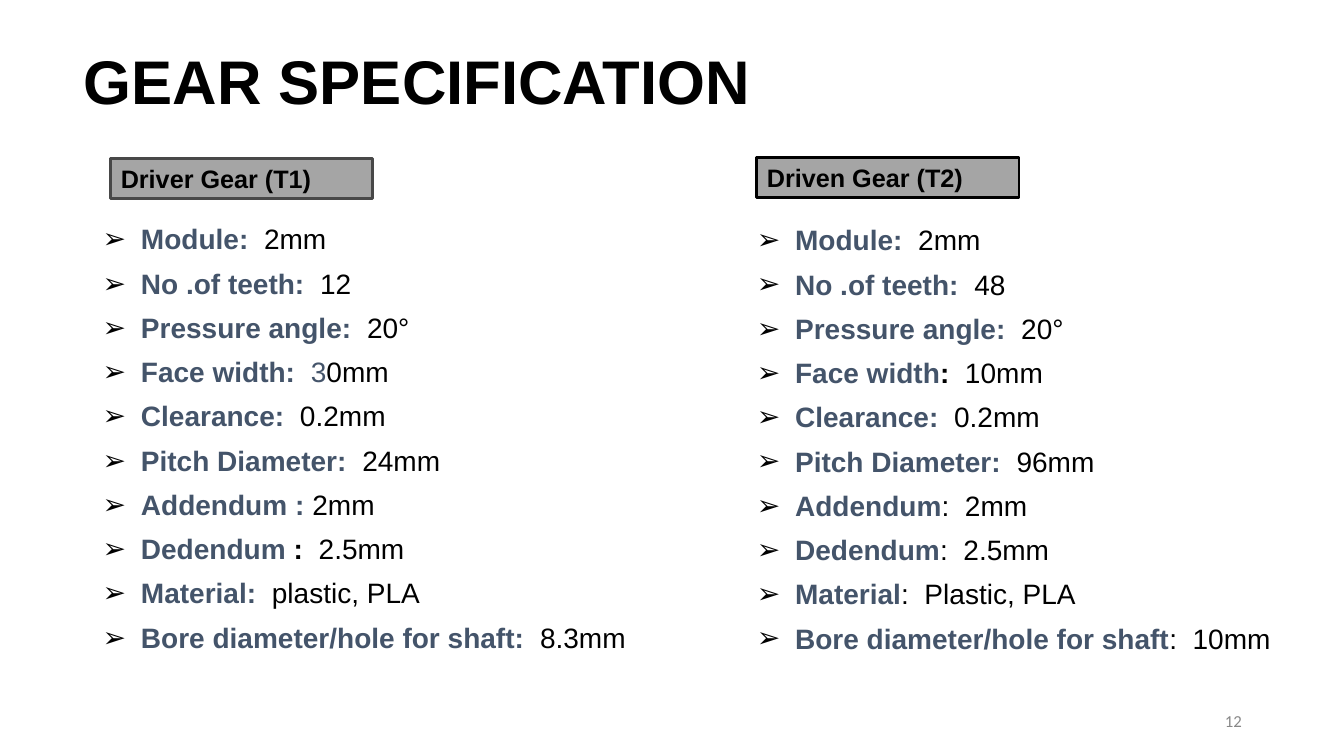
import pptx
import pptx.util
import pptx.dml.color
import pptx.enum.shapes
import pptx.enum.text
import lxml.etree

RGBColor = pptx.dml.color.RGBColor
INK = RGBColor(0x00, 0x00, 0x00)
SLATE = RGBColor(0x44, 0x54, 0x6A)
GREY = RGBColor(0xA5, 0xA5, 0xA5)
EDGE = RGBColor(0x48, 0x48, 0x48)
PALE = RGBColor(0x88, 0x88, 0x88)

STYLES = [(SLATE, True), (INK, True), (SLATE, False), (INK, False)]
DRIVER = [
    ("Module: ", "", "", " 2mm"),
    ("No .of teeth: ", "", "", " 12"),
    ("Pressure angle:", "", "", "  20°"),
    ("Face width:", "", "  3", "0mm"),
    ("Clearance: ", "", "", " 0.2mm"),
    ("Pitch Diameter: ", "", "", " 24mm"),
    ("Addendum : ", "", "", "2mm"),
    ("Dedendum", " :  ", "", "2.5mm"),
    ("Material:  ", "", "", "plastic, PLA"),
    ("Bore diameter/hole for shaft:", "", "", "  8.3mm"),
]
DRIVEN = [
    ("Module:", "", "", "  2mm"),
    ("No .of teeth:  ", "", "", "48"),
    ("Pressure angle: ", "", "", " 20°"),
    ("Face width", ":", "", "  10mm"),
    ("Clearance:", "", "", "  0.2mm"),
    ("Pitch Diameter:  ", "", "", "96mm"),
    ("Addendum", "", "", ":  2mm"),
    ("Dedendum", "", "", ":  2.5mm"),
    ("Material", "", "", ":  Plastic, PLA"),
    ("Bore diameter/hole for shaft", "", "", ":  10mm"),
]
GEARS = [
    ("Driver Gear (T1)", EDGE, (8.25, 20.93), (6.9, 29.2, 42.5), DRIVER),
    ("Driven Gear (T2)", INK, (56.32, 20.8), (55.57, 29.33, 44.4), DRIVEN),
]

deck = pptx.Presentation()
deck.slide_width = pptx.util.Inches(13.33)
deck.slide_height = pptx.util.Inches(7.5)
slide = deck.slides.add_slide(deck.slide_layouts[5])


def place(left, top, width, height):
    col, row = deck.slide_width / 100, deck.slide_height / 100
    return int(left * col), int(top * row), int(width * col), int(height * row)


def style(run, size, color, bold, face="Arial"):
    run.font.name = face
    run.font.size = pptx.util.Pt(size)
    run.font.bold = bold
    run.font.color.rgb = color


title = slide.shapes.title
title.left, title.top, title.width, title.height = place(5.5, 1.47, 86.25, 19.33)
title.text_frame.text = "GEAR SPECIFICATION"
title.text_frame.auto_size = pptx.enum.text.MSO_AUTO_SIZE.NONE
title.text_frame.vertical_anchor = pptx.enum.text.MSO_ANCHOR.MIDDLE
head = title.text_frame.paragraphs[0]
head.alignment = pptx.enum.text.PP_ALIGN.LEFT
head.line_spacing = 0.9
style(head.runs[0], 44, INK, True)

for name, edge, spot, area, rows in GEARS:
    box = slide.shapes.add_textbox(*place(*area, 63.47))
    frame = box.text_frame
    frame.word_wrap = True
    for at, parts in enumerate(rows):
        para = frame.add_paragraph() if at else frame.paragraphs[0]
        para.line_spacing = 0.9
        para.space_before = pptx.util.Pt(10 if at else 0)
        for text, (color, bold) in zip(parts, STYLES):
            if text:
                run = para.add_run()
                run.text = text
                style(run, 20, color, bold)
        props = para._p.get_or_add_pPr()
        props.set("marL", str(pptx.util.Inches(0.38)))
        props.set("indent", str(-pptx.util.Inches(0.38)))
        tint = lxml.etree.SubElement(props, pptx.oxml.ns.qn("a:buClr"))
        lxml.etree.SubElement(tint, pptx.oxml.ns.qn("a:srgbClr"), val=str(INK))
        lxml.etree.SubElement(props, pptx.oxml.ns.qn("a:buFont"), typeface="Arial")
        lxml.etree.SubElement(props, pptx.oxml.ns.qn("a:buChar"), char="➢")

    tag = slide.shapes.add_shape(
        pptx.enum.shapes.MSO_SHAPE.RECTANGLE, *place(*spot, 19.5, 5.33))
    tag.shadow.inherit = False
    tag.fill.solid()
    tag.fill.fore_color.rgb = GREY
    tag.line.color.rgb = edge
    tag.line.width = pptx.util.Pt(2)
    tag.text_frame.text = name
    tag.text_frame.word_wrap = True
    tag.text_frame.vertical_anchor = pptx.enum.text.MSO_ANCHOR.TOP
    para = tag.text_frame.paragraphs[0]
    para.alignment = pptx.enum.text.PP_ALIGN.LEFT
    style(para.runs[0], 18, INK, True)

page = slide.shapes.add_textbox(*place(70.65, 92.67, 22.5, 5.33))
page.text_frame.text = "12"
page.text_frame.word_wrap = True
page.text_frame.vertical_anchor = pptx.enum.text.MSO_ANCHOR.MIDDLE
para = page.text_frame.paragraphs[0]
para.alignment = pptx.enum.text.PP_ALIGN.RIGHT
style(para.runs[0], 12, PALE, False, "Calibri")

deck.save("out.pptx")
